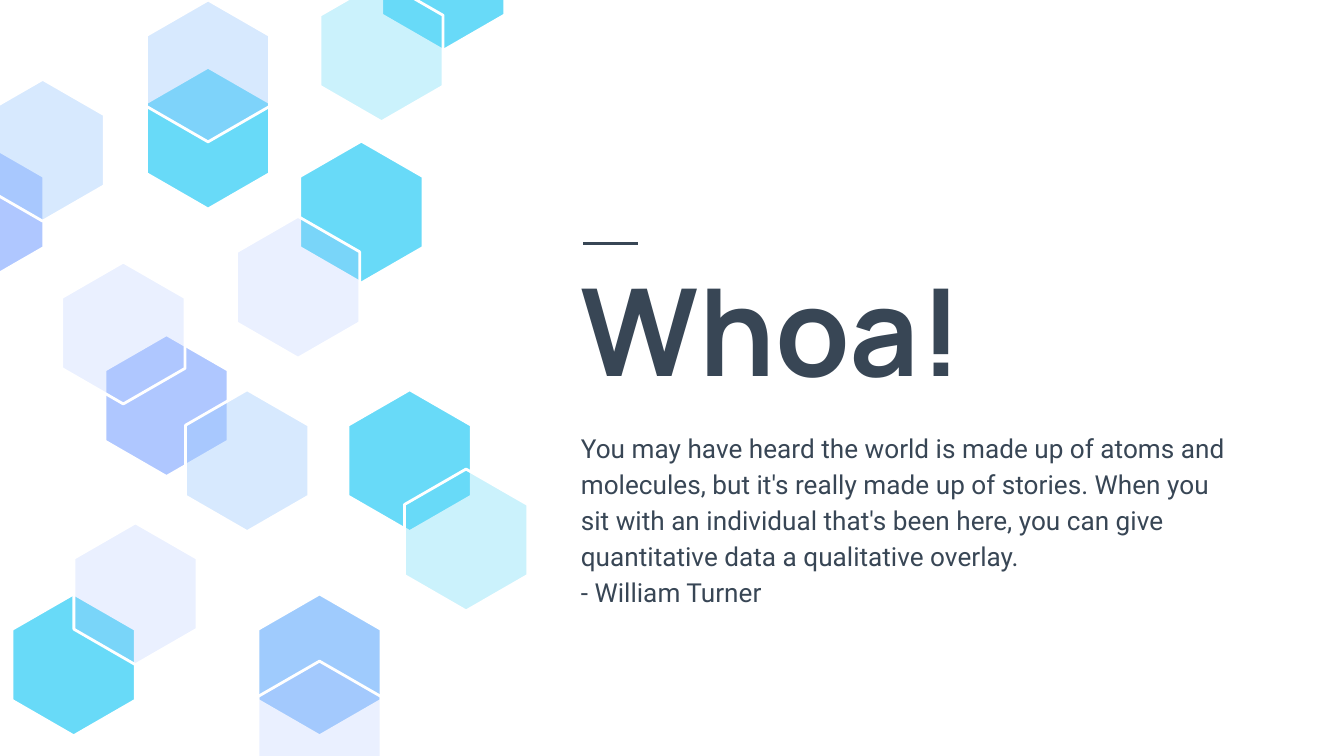
from dataclasses import dataclass

from lxml.etree import SubElement
from pptx import Presentation
from pptx.dml.color import RGBColor
from pptx.enum.shapes import MSO_CONNECTOR
from pptx.enum.text import MSO_ANCHOR, MSO_AUTO_SIZE, PP_ALIGN
from pptx.oxml.ns import qn
from pptx.util import Pt


@dataclass(frozen=True)
class Theme:
    ink: RGBColor = RGBColor.from_string("384655")
    white: RGBColor = RGBColor.from_string("FFFFFF")
    cyan: RGBColor = RGBColor.from_string("68DAF8")
    sky: RGBColor = RGBColor.from_string("9FCBFD")
    periwinkle: RGBColor = RGBColor.from_string("AFC7FF")
    title_font: str = "Manrope"
    body_font: str = "Roboto"
    title_size: int = 65
    body_size: int = 14
    line_width: float = 1.5


theme = Theme()
HEXAGON_WIDTH, HEXAGON_HEIGHT = 66, 76


def fill_placeholder(placeholder, box, paragraphs, anchor, font_name, size, bold, spacing):
    placeholder.left, placeholder.top, placeholder.width, placeholder.height = map(Pt, box)
    frame = placeholder.text_frame
    frame.text = "\n".join(paragraphs)
    frame.word_wrap = True
    frame.auto_size = MSO_AUTO_SIZE.NONE
    frame.vertical_anchor = anchor
    frame.margin_left = frame.margin_right = frame.margin_top = frame.margin_bottom = Pt(7.2)
    for paragraph in frame.paragraphs:
        paragraph.alignment = PP_ALIGN.LEFT
        paragraph.line_spacing = spacing
        paragraph.space_before = Pt(0)
        paragraph.font.name = font_name
        paragraph.font.size = Pt(size)
        paragraph.font.bold = bold
        paragraph.font.color.rgb = theme.ink


def add_hexagon(slide, left, top, color, opacity):
    middle, right = left + HEXAGON_WIDTH / 2, left + HEXAGON_WIDTH
    upper, lower = top + HEXAGON_HEIGHT / 4, top + HEXAGON_HEIGHT * 3 / 4
    corners = [(right, upper), (right, lower), (middle, top + HEXAGON_HEIGHT),
               (left, lower), (left, upper)]
    builder = slide.shapes.build_freeform(Pt(middle), Pt(top))
    builder.add_line_segments([(Pt(x), Pt(y)) for x, y in corners], close=True)
    hexagon = builder.convert_to_shape()
    hexagon.shadow.inherit = False
    hexagon.fill.solid()
    hexagon.fill.fore_color.rgb = color
    hexagon.line.color.rgb = theme.white
    hexagon.line.width = Pt(theme.line_width)
    if opacity < 100:
        fill_color = hexagon._element.spPr.find(qn("a:solidFill")).find(qn("a:srgbClr"))
        SubElement(fill_color, qn("a:alpha"), val=str(opacity * 1000))


presentation = Presentation()
presentation.slide_width, presentation.slide_height = Pt(720), Pt(405)
slide = presentation.slides.add_slide(presentation.slide_layouts[0])
slide.background.fill.solid()
slide.background.fill.fore_color.rgb = theme.white

# Title and quote
fill_placeholder(slide.shapes.title, (304, 130.3, 360, 91.5), ["Whoa!"],
                 MSO_ANCHOR.BOTTOM, theme.title_font, theme.title_size, True, 1.0)
quote = [
    "You may have heard the world is made up of atoms and molecules, but it's really "
    "made up of stories. When you sit with an individual that's been here, you can give "
    "quantitative data a qualitative overlay.",
    "- William Turner",
]
fill_placeholder(slide.placeholders[1], (304, 221.8, 360, 52.6), quote,
                 MSO_ANCHOR.TOP, theme.body_font, theme.body_size, False, 1.15)

# Hexagons from back to front: left, top, colour, opacity in percent
hexagons = [
    (6.5, 318.2, theme.cyan, 100),
    (78.5, 36, theme.cyan, 100),
    (160.6, 75.6, theme.cyan, 100),
    (-42.5, 75.6, theme.periwinkle, 100),
    (78.5, 0, theme.sky, 41),
    (56.2, 179.3, theme.periwinkle, 100),
    (33.1, 140.4, theme.periwinkle, 25),
    (126.7, 115.9, theme.periwinkle, 25),
    (204.5, -49, theme.cyan, 100),
    (99.4, 208.8, theme.sky, 41),
    (171.4, -10.8, theme.cyan, 34),
    (138.2, 318.2, theme.sky, 100),
    (186.5, 208.8, theme.cyan, 100),
    (39.6, 280.1, theme.periwinkle, 25),
    (138.2, 354.2, theme.periwinkle, 25),
    (-10.1, 42.5, theme.sky, 41),
    (216.7, 251.3, theme.cyan, 34),
]
for left, top, color, opacity in hexagons:
    add_hexagon(slide, left, top, color, opacity)

# Accent line above the title
accent = slide.shapes.add_connector(
    MSO_CONNECTOR.STRAIGHT, Pt(312.4), Pt(130.3), Pt(341.9), Pt(130.3))
accent.line.color.rgb = theme.ink
accent.line.width = Pt(theme.line_width)
SubElement(accent._element.spPr, qn("a:effectLst"))

presentation.save("out.pptx")
